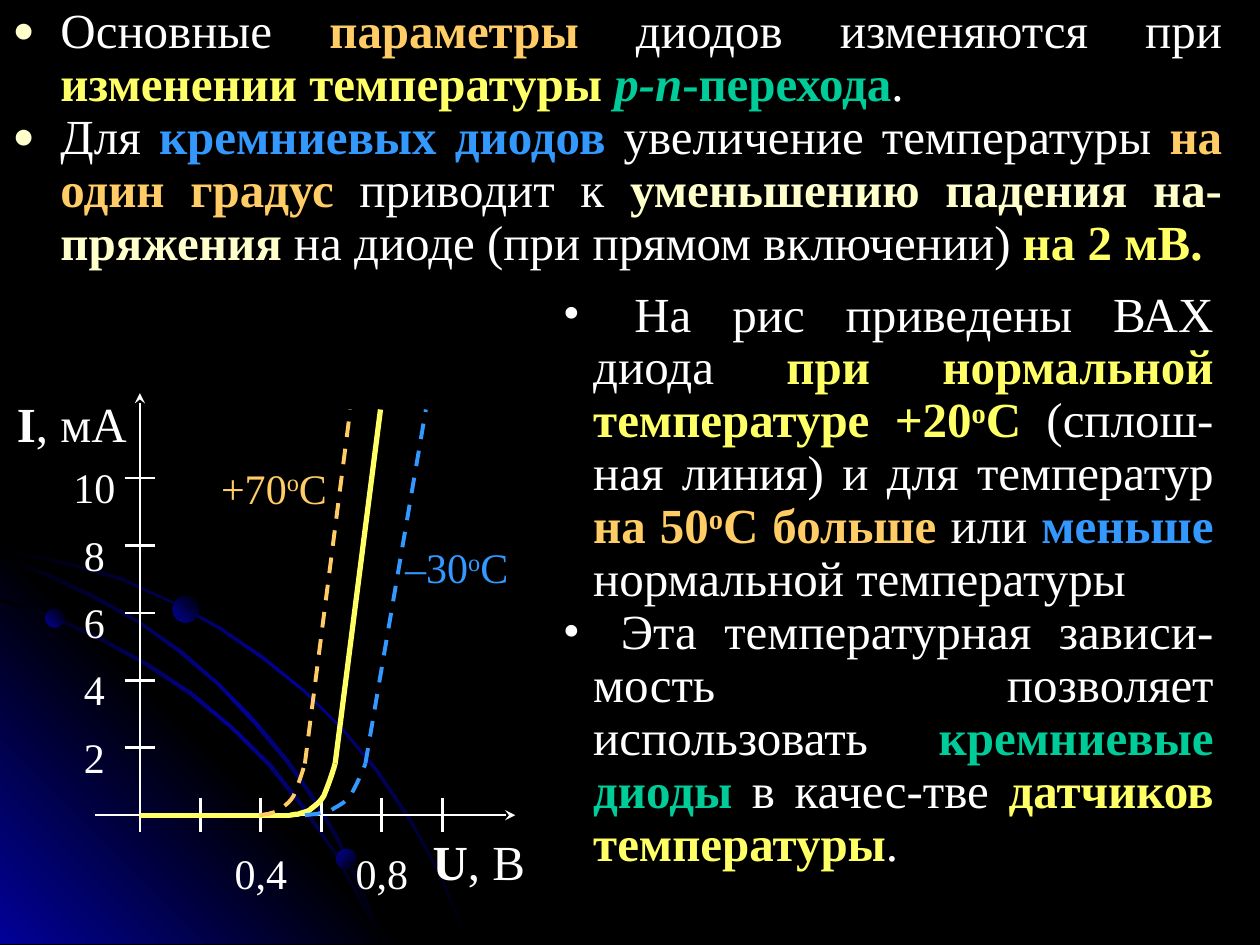
from lxml import etree
from pptx import Presentation
from pptx.dml.color import RGBColor
from pptx.enum.dml import MSO_LINE
from pptx.enum.shapes import MSO_CONNECTOR, MSO_SHAPE
from pptx.enum.text import MSO_ANCHOR, MSO_AUTO_SIZE, PP_ALIGN
from pptx.oxml.ns import qn
from pptx.util import Inches, Pt

BLACK = RGBColor(0x00, 0x00, 0x00)
NAVY = RGBColor(0x01, 0x01, 0x99)
WHITE = RGBColor(0xFF, 0xFF, 0xFF)
CREAM = RGBColor(0xFF, 0xFF, 0xCC)
YELLOW = RGBColor(0xFF, 0xFF, 0x66)
ORANGE = RGBColor(0xFF, 0xCC, 0x66)
BLUE = RGBColor(0x33, 0x99, 0xFF)
GREEN = RGBColor(0x00, 0xCC, 0x99)
CENTER, JUSTIFY = PP_ALIGN.CENTER, PP_ALIGN.JUSTIFY
STRAIGHT, DASH = MSO_CONNECTOR.STRAIGHT, MSO_LINE.DASH
FONT = "Times New Roman"

# Runs: text, colour, style letters (b bold, i italic, ^ superscript)
PARAMETERS = [
    [("Основные ", WHITE, ""), ("параметры", ORANGE, "b"),
     (" диодов изменяются при ", WHITE, ""),
     ("изменении температуры ", YELLOW, "b"), ("p-n", GREEN, "bi"),
     ("-перехода", GREEN, "b"), (".", WHITE, "")],
    [("Для ", WHITE, ""), ("кремниевых диодов", BLUE, "b"),
     (" увеличение температуры ", WHITE, ""), ("на один градус", ORANGE, "b"),
     (" приводит к ", WHITE, ""), ("уменьшению падения на-пряжения", CREAM, "b"),
     (" на диоде (при прямом включении) ", WHITE, ""), ("на 2 мВ.", YELLOW, "b")],
]
EXPLANATION = [
    [(" На рис приведены ВАХ диода ", WHITE, ""),
     ("при нормальной температуре +20", YELLOW, "b"), ("о", YELLOW, "b^"),
     ("С", YELLOW, "b"), (" (сплош-ная линия) и для температур ", WHITE, ""),
     ("на 50", ORANGE, "b"), ("о", ORANGE, "b^"), ("С больше", ORANGE, "b"),
     (" или ", WHITE, ""), ("меньше", BLUE, "b"),
     (" нормальной температуры", WHITE, "")],
    [(" Эта температурная зависи-мость позволяет использовать ", WHITE, ""),
     ("кремниевые диоды", GREEN, "b"), (" в качес-тве ", WHITE, ""),
     ("датчиков температуры", YELLOW, "b"), (".", WHITE, "")],
]
CURRENTS = ["2", "4", "6", "8", "10"]
VOLTAGES = ["", "0,4", "", "0,8", ""]
# Labels: runs, size, box
CHART_LABELS = [
    ([("+70", ORANGE, ""), ("о", ORANGE, "^"), ("С", ORANGE, "")], 24, (1.69, 3.67, 0.97, 0.39)),
    ([("–30", BLUE, ""), ("о", BLUE, "^"), ("С", BLUE, "")], 24, (3.11, 4.3, 1.03, 0.38)),
    ([("I", WHITE, "b"), (", мА", WHITE, "")], 28, (0, 3.12, 1.14, 0.54)),
    ([("U", WHITE, "b"), (", В", WHITE, "")], 28, (3.38, 6.6, 0.84, 0.4)),
]
# Curves: knee start, knee end, top x, colour, width, dash
CURVES = [
    (2.3, 2.66, 3.02, YELLOW, 3, None),
    (2.42, 2.9, 3.38, BLUE, 2.25, DASH),
    (2.06, 2.42, 2.78, ORANGE, 2.25, DASH),
]
# Bezier pieces of a knee, as shares of its width and height
KNEE = [
    [(0, 0), (0.04, 0), (0.11, 0.02), (0.19, 0.02)],
    [(0.19, 0.02), (0.25, 0.05), (0.35, 0.05), (0.44, 0.1)],
    [(0.44, 0.1), (0.52, 0.17), (0.65, 0.22), (0.75, 0.37)],
    [(0.75, 0.37), (0.83, 0.54), (0.96, 0.85), (1, 1)],
]
ORIGIN_X, ORIGIN_Y = 1.11, 6.47
STEP_X, STEP_Y = 0.48, 0.535
KNEE_TOP, CURVE_TOP = 6.06, 3.25

ARC_FILL = ([(0, BLACK), (50, NAVY), (100, BLACK)], 225)
CORNER_FILL = ([(0, NAVY), (50, BLACK), (100, NAVY)], 135)
OUTER_ARC = [
    (0.57, 4.47), (0.28, 4.41), (0, 4.35), (0, 4.38), (0.28, 4.43), (0.56, 4.49),
    (0.97, 4.61), (1.35, 4.78), (1.73, 4.99), (2.08, 5.23), (2.41, 5.49), (2.71, 5.79),
    (2.98, 6.12), (3.23, 6.49), (3.37, 6.73), (3.5, 6.98), (3.6, 7.23), (3.7, 7.49),
    (3.72, 7.49), (3.62, 7.23), (3.52, 6.98), (3.39, 6.73), (3.25, 6.48), (3, 6.11),
    (2.72, 5.78), (2.42, 5.48), (2.09, 5.21), (1.74, 4.97), (1.36, 4.77), (0.98, 4.59)]
CORNER = [(3.22, 7.49), (0, 7.49), (0, 4.27)]
INNER_ARC = [
    (2.85, 7.14), (2.94, 7.32), (3.01, 7.49), (3.03, 7.49), (2.96, 7.3), (2.86, 7.12),
    (2.66, 6.76), (2.42, 6.4), (2.15, 6.06), (1.84, 5.76), (1.52, 5.49), (1.17, 5.26),
    (0.79, 5.05), (0.41, 4.88), (0, 4.75), (0, 4.77), (0.39, 4.9), (0.77, 5.07),
    (1.15, 5.28), (1.5, 5.51), (1.83, 5.78), (2.13, 6.08), (2.4, 6.42), (2.65, 6.77)]
MIDDLE_ARC = [
    (0, 4.42), (0, 4.44), (0.36, 4.57), (0.74, 4.75), (1.09, 4.94), (1.42, 5.18),
    (1.73, 5.44), (2.02, 5.75), (2.27, 6.05), (2.52, 6.41), (2.67, 6.67), (2.8, 6.94),
    (2.92, 7.22), (3.01, 7.49), (3.03, 7.49), (2.94, 7.2), (2.82, 6.93), (2.69, 6.65),
    (2.54, 6.39), (2.29, 6.03), (2.04, 5.73), (1.75, 5.43), (1.44, 5.16), (1.11, 4.93),
    (0.76, 4.73), (0.39, 4.55)]
DECOR = [(OUTER_ARC, ARC_FILL), (CORNER, CORNER_FILL),
         (INNER_ARC, ARC_FILL), (MIDDLE_ARC, ARC_FILL)]
# Balls: left, top, diameter, gradient angle
BALLS = [(0.36, 4.83, 0.15, 135), (2.67, 6.74, 0.16, 225), (1.37, 4.73, 0.21, 135)]


def fill_gradient(shape, stops, angle):
    """Fill with (percent, colour) stops along a clockwise angle."""
    shape.shadow.inherit = False
    shape.line.fill.background()
    shape.fill.background()
    gradient = etree.Element(qn("a:gradFill"), rotWithShape="1")
    stop_list = etree.SubElement(gradient, qn("a:gsLst"))
    for percent, color in stops:
        stop = etree.SubElement(stop_list, qn("a:gs"), pos=str(percent * 1000))
        etree.SubElement(stop, qn("a:srgbClr"), val=str(color))
    etree.SubElement(gradient, qn("a:lin"), ang=str(angle * 60000), scaled="1")
    properties = shape._element.spPr
    properties.replace(properties.find(qn("a:noFill")), gradient)


def add_outline(shapes, points, close):
    corners = [(Inches(x), Inches(y)) for x, y in points]
    builder = shapes.build_freeform(*corners[0])
    builder.add_line_segments(corners[1:], close=close)
    outline = builder.convert_to_shape()
    outline.shadow.inherit = False
    return outline


def style_line(line, color, width, dash=None):
    line.color.rgb = color
    line.width = Pt(width)
    if dash:
        line.dash_style = dash


def add_line(shapes, start, end, color=WHITE, width=1.5, dash=None, arrow=False):
    connector = shapes.add_connector(STRAIGHT, *map(Inches, start + end))
    style_line(connector.line, color, width, dash)
    if arrow:
        etree.SubElement(connector.line._get_or_add_ln(), qn("a:tailEnd"), type="stealth")
    etree.SubElement(connector._element.spPr, qn("a:effectLst"))


def knee_points(left, right):
    """Sample the knee between its two ends, in inches."""
    points = [(left, ORIGIN_Y)]
    for piece in KNEE:
        for t in (i / 6 for i in range(1, 7)):
            weights = ((1 - t) ** 3, 3 * t * (1 - t) ** 2, 3 * t * t * (1 - t), t ** 3)
            x, y = (sum(w * p[axis] for w, p in zip(weights, piece)) for axis in (0, 1))
            points.append((left + x * (right - left), ORIGIN_Y + y * (KNEE_TOP - ORIGIN_Y)))
    return points


def write_runs(paragraph, runs, size, align):
    paragraph.alignment = align
    for text, color, style in runs:
        run = paragraph.add_run()
        run.text = text
        font = run.font
        font.name, font.size, font.color.rgb = FONT, Pt(size), color
        font.bold, font.italic = "b" in style, "i" in style
        if "^" in style:
            font._element.set("baseline", "30000")


def write_bullets(frame, items, indent, char, color, percent):
    frame.word_wrap = True
    frame.auto_size = MSO_AUTO_SIZE.NONE
    frame.vertical_anchor = MSO_ANCHOR.TOP
    for index, runs in enumerate(items):
        paragraph = frame.add_paragraph() if index else frame.paragraphs[0]
        paragraph.line_spacing = 0.9
        paragraph.space_before = paragraph.space_after = Pt(0)
        properties = paragraph._p.get_or_add_pPr()
        properties.set("marL", str(Inches(indent)))
        properties.set("indent", str(-Inches(indent)))
        bullet_color = etree.SubElement(properties, qn("a:buClr"))
        etree.SubElement(bullet_color, qn("a:srgbClr"), val=str(color))
        etree.SubElement(properties, qn("a:buSzPct"), val=str(percent * 1000))
        etree.SubElement(properties, qn("a:buFont"), typeface=FONT)
        etree.SubElement(properties, qn("a:buChar"), char=char)
        write_runs(paragraph, runs, 28, JUSTIFY)


def add_label(shapes, runs, size, box):
    frame = shapes.add_textbox(*map(Inches, box)).text_frame
    frame.word_wrap = True
    frame.margin_left = frame.margin_right = frame.margin_top = frame.margin_bottom = 0
    write_runs(frame.paragraphs[0], runs, size, CENTER)


def main():
    deck = Presentation()
    deck.slide_width, deck.slide_height = Inches(10), Inches(7.5)
    slide = deck.slides.add_slide(deck.slide_layouts[1])
    shapes = slide.shapes
    slide.background.fill.solid()
    slide.background.fill.fore_color.rgb = BLACK
    title, body = shapes.title, slide.placeholders[1]
    title._element.getparent().remove(title._element)

    for points, (stops, angle) in DECOR:
        fill_gradient(add_outline(shapes, points, True), stops, angle)
    for left, top, size, angle in BALLS:
        ball = shapes.add_shape(MSO_SHAPE.OVAL, *map(Inches, (left, top, size, size)))
        fill_gradient(ball, [(0, BLACK), (100, NAVY)], angle)

    shapes._spTree.append(body._element)  # text stays above the decoration
    body.left, body.top, body.width, body.height = map(Inches, (0, 0, 9.8, 2.2))
    write_bullets(body.text_frame, PARAMETERS, 0.38, "●", CREAM, 75)
    explanation = shapes.add_textbox(*map(Inches, (4.37, 2.25, 5.36, 4.3)))
    write_bullets(explanation.text_frame, EXPLANATION, 0.24, "•", WHITE, 100)

    add_line(shapes, (ORIGIN_X, 6.6), (ORIGIN_X, 3.12), arrow=True)
    add_line(shapes, (0.75, ORIGIN_Y), (4.09, ORIGIN_Y), arrow=True)
    for step, current in enumerate(CURRENTS, 1):
        y = ORIGIN_Y - step * STEP_Y
        add_line(shapes, (ORIGIN_X - 0.12, y), (ORIGIN_X + 0.12, y))
        add_label(shapes, [(current, WHITE, "")], 24, (0.51, y - 0.13, 0.48, 0.4))
    for step, voltage in enumerate(VOLTAGES, 1):
        x = ORIGIN_X + step * STEP_X
        add_line(shapes, (x, 6.33), (x, 6.6))
        if voltage:
            add_label(shapes, [(voltage, WHITE, "")], 24, (x - 0.24, 6.73, 0.48, 0.4))

    add_line(shapes, (ORIGIN_X, ORIGIN_Y), (CURVES[0][0], ORIGIN_Y), YELLOW, 3)
    for left, right, top_x, color, width, dash in CURVES:
        knee = add_outline(shapes, knee_points(left, right), False)
        knee.fill.background()
        style_line(knee.line, color, width, dash)
        add_line(shapes, (right, KNEE_TOP), (top_x, CURVE_TOP), color, width, dash)
    for runs, size, box in CHART_LABELS:
        add_label(shapes, runs, size, box)
    deck.save("out.pptx")


if __name__ == "__main__":
    main()
